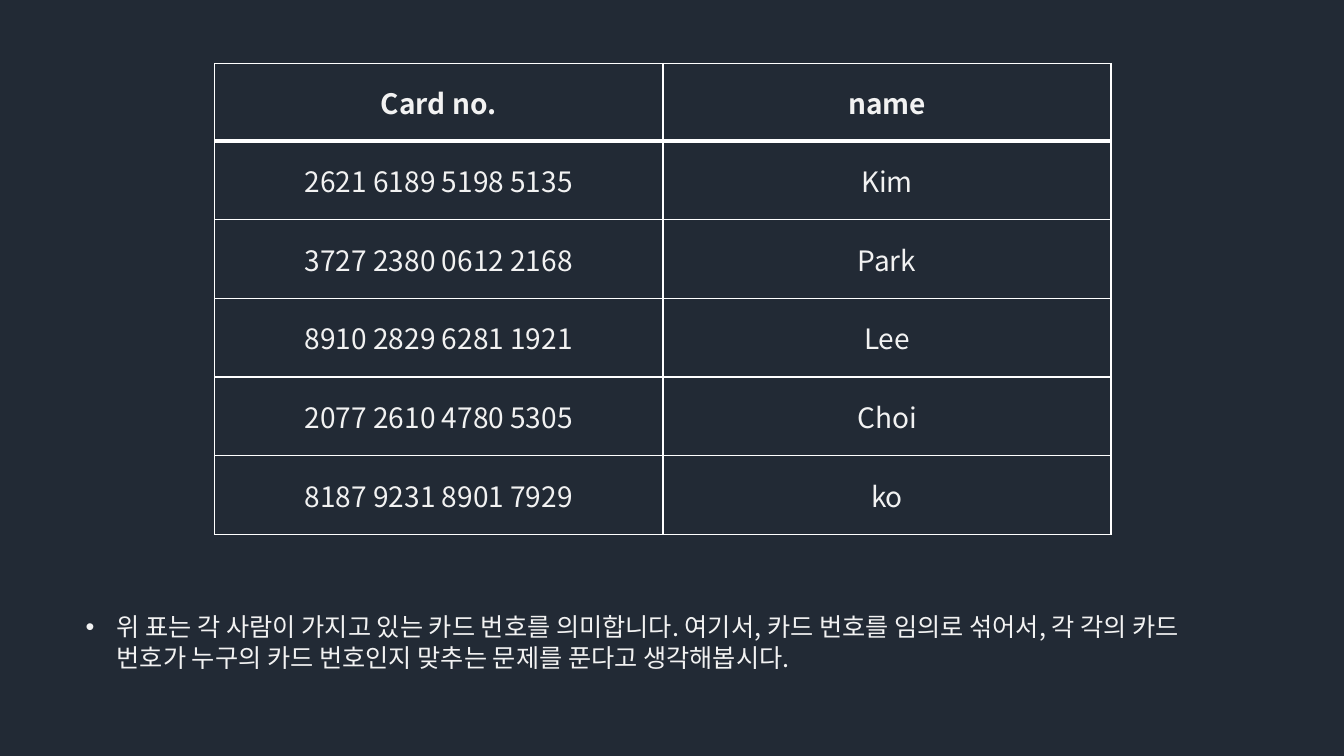
from lxml.etree import SubElement
from pptx import Presentation
from pptx.dml.color import RGBColor
from pptx.enum.text import MSO_ANCHOR, MSO_AUTO_SIZE, PP_ALIGN
from pptx.oxml.ns import qn
from pptx.util import Inches, Pt

BACKGROUND = RGBColor(0x22, 0x2A, 0x35)
TEXT = RGBColor(0xF2, 0xF2, 0xF2)
BORDER = RGBColor(0xFF, 0xFF, 0xFF)
FONT = "Noto Sans CJK KR"

CARDS = [
    ("Card no.", "name"),
    ("2621 6189 5198 5135", "Kim"),
    ("3727 2380 0612 2168", "Park"),
    ("8910 2829 6281 1921", "Lee"),
    ("2077 2610 4780 5305", "Choi"),
    ("8187 9231 8901 7929", "ko"),
]


def write(tf, text, size, bold=False, align=PP_ALIGN.LEFT):
    p = tf.paragraphs[0]
    p.alignment = align
    r = p.add_run()
    r.text = text
    r.font.size = Pt(size)
    r.font.bold = bold
    r.font.color.rgb = TEXT
    r.font.name = FONT
    SubElement(r.font._element, qn("a:ea"), typeface=FONT)
    return p


def add_border(cell, side, width):
    ln = SubElement(cell._tc.get_or_add_tcPr(), qn(f"a:ln{side}"), w=str(Pt(width)))
    fill = SubElement(ln, qn("a:solidFill"))
    SubElement(fill, qn("a:srgbClr"), val=str(BORDER))


prs = Presentation()
prs.slide_width = Inches(13.33)
prs.slide_height = Inches(7.5)
slide = prs.slides.add_slide(prs.slide_layouts[6])
slide.background.fill.solid()
slide.background.fill.fore_color.rgb = BACKGROUND

# Card table
table = slide.shapes.add_table(
    len(CARDS), 2, Inches(2.13), Inches(0.63), Inches(8.89), Inches(4.67)
).table
table.horz_banding = False
for row, values in enumerate(CARDS):
    table.rows[row].height = Inches(0.77 if row == 0 else 0.78)
    for col, value in enumerate(values):
        cell = table.cell(row, col)
        cell.vertical_anchor = MSO_ANCHOR.MIDDLE
        write(cell.text_frame, value, 20, bold=row == 0, align=PP_ALIGN.CENTER)
        widths = {"L": 1, "R": 1, "T": 3 if row == 1 else 1, "B": 3 if row == 0 else 1}
        for side, width in widths.items():
            add_border(cell, side, width)
        cell.fill.background()

# Explanation
sp = slide.shapes.add_textbox(Inches(0.75), Inches(6.02), Inches(11.65), Inches(0.71))
tf = sp.text_frame
tf.word_wrap = True
tf.auto_size = MSO_AUTO_SIZE.SHAPE_TO_FIT_TEXT
p = write(
    tf,
    "위 표는 각 사람이 가지고 있는 카드 번호를 의미합니다. 여기서, 카드 번호를 임의로 섞어서, "
    "각 각의 카드 번호가 누구의 카드 번호인지 맞추는 문제를 푼다고 생각해봅시다.",
    18,
)
pPr = p._p.get_or_add_pPr()
pPr.set("marL", str(Inches(0.31)))
pPr.set("indent", str(Inches(-0.31)))
SubElement(pPr, qn("a:buFont"), typeface="Arial")
SubElement(pPr, qn("a:buChar"), char="•")

prs.save("out.pptx")
